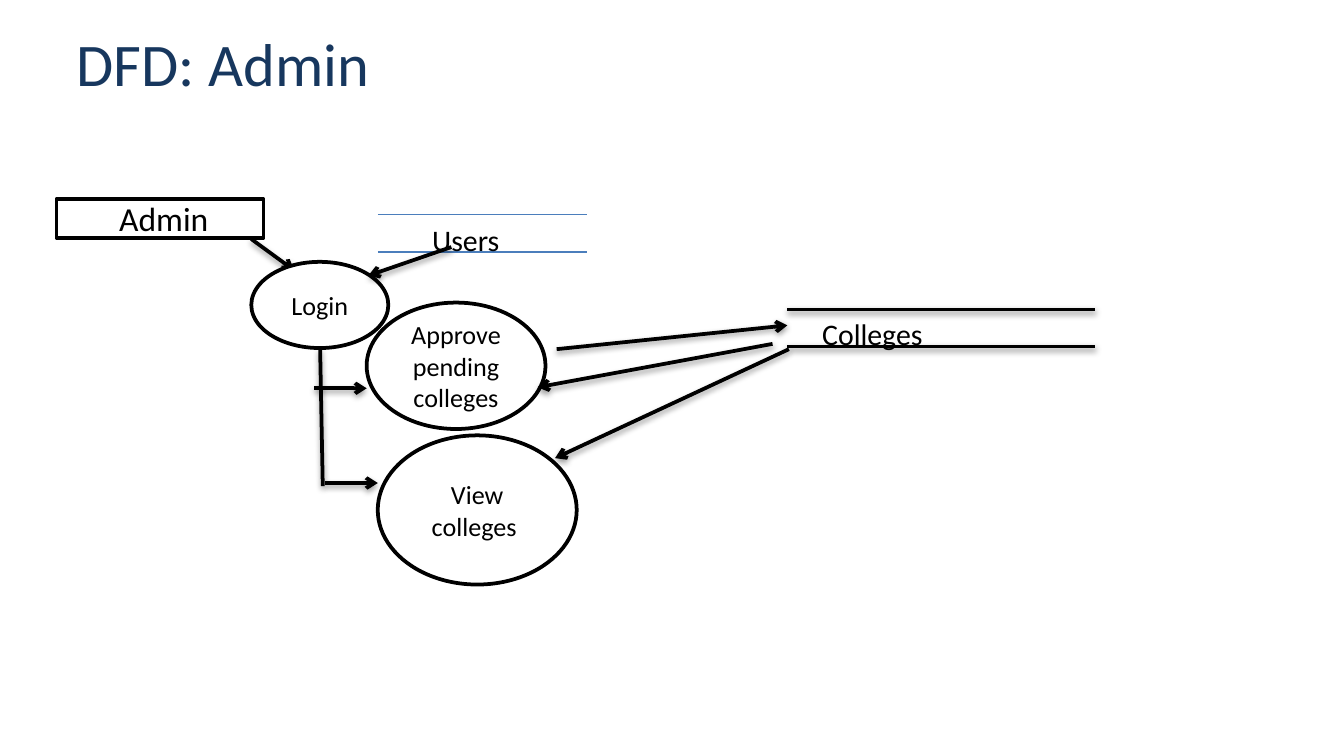
"""Build the admin data-flow diagram slide."""
from dataclasses import dataclass

from lxml.etree import SubElement
from pptx import Presentation
from pptx.dml.color import RGBColor as RGB
from pptx.enum.shapes import MSO_CONNECTOR as CONN, MSO_SHAPE as SHAPE
from pptx.enum.text import MSO_ANCHOR as ANCHOR, MSO_AUTO_SIZE as FIT, PP_ALIGN as ALIGN
from pptx.oxml.ns import qn
from pptx.util import Cm, Pt


@dataclass(frozen=True)
class Theme:
    font: str = "Calibri"
    ink: str = "000000"
    paper: str = "FFFFFF"
    title: str = "17375E"
    thin_line: str = "4B7EBC"
    title_size: float = 32.4
    entity_size: float = 18
    store_size: float = 16
    process_size: float = 14
    thick: float = 2
    thin: float = 0.75


T = Theme()

TITLE = ("DFD: Admin", (1.19, 0.74, 22.86, 0.89))
NODES = [
    (" Admin", SHAPE.RECTANGLE, T.entity_size, (1.07, 3.76, 3.91, 0.74)),
    ("Login", SHAPE.OVAL, T.process_size, (4.75, 4.95, 2.59, 1.63)),
    ("Approve pending colleges", SHAPE.OVAL, T.process_size, (6.93, 5.72, 3.38, 2.39)),
    ("View colleges ", SHAPE.OVAL, T.process_size, (7.14, 8.23, 3.76, 2.82)),
]
STORES = [
    ("Users", (7.92, 4.06, 2.39, 0.94), (7.14, 11.1),
     dict(color=T.thin_line, width=T.thin, shadow=False)),
    ("Colleges", (15.29, 5.85, 8.15, 0.94), (14.88, 20.7), {}),
]
STORE_GAP = 0.7
TRUNK = (6.05, 6.6, 6.1, 9.19)
CONTROL_FLOWS = [
    (4.75, 4.52, 5.56, 5.11),
    (5.94, 7.34, 6.93, 7.34),
    (6.15, 9.13, 7.14, 9.13),
]
DATA_FLOWS = [
    (8.53, 4.67, 6.96, 5.21),
    (10.52, 6.6, 14.88, 6.15),
    (14.6, 6.5, 10.16, 7.32),
    (14.91, 6.6, 10.49, 8.66),
]


def cm(values):
    return [Cm(v) for v in values]


def write(sp, text, *, size, color=T.ink, align=ALIGN.LEFT, anchor=ANCHOR.MIDDLE, fit=FIT.NONE):
    tf = sp.text_frame
    tf.word_wrap = True
    tf.auto_size = fit
    tf.vertical_anchor = anchor
    p = tf.paragraphs[0]
    p.alignment = align
    r = p.add_run()
    r.text = text
    r.font.name, r.font.size = T.font, Pt(size)
    r.font.color.rgb = RGB.from_string(color)


def add_line(slide, ends, *, color=T.ink, width=T.thick, arrow=False, shadow=True):
    line = slide.shapes.add_connector(CONN.STRAIGHT, *cm(ends))
    line.line.color.rgb = RGB.from_string(color)
    line.line.width = Pt(width)
    sp_pr = line._element.spPr
    if arrow:
        SubElement(sp_pr.find(qn("a:ln")), qn("a:tailEnd"), type="arrow")
    effects = SubElement(sp_pr, qn("a:effectLst"))
    if shadow:
        outer = SubElement(effects, qn("a:outerShdw"), blurRad="40000", dist="20000",
                           dir="5400000", rotWithShape="0")
        tint = SubElement(outer, qn("a:srgbClr"), val=T.ink)
        SubElement(tint, qn("a:alpha"), val="38000")


def add_node(slide, text, kind, size, box):
    sp = slide.shapes.add_shape(kind, *cm(box))
    sp.shadow.inherit = False
    sp.fill.solid()
    sp.fill.fore_color.rgb = RGB.from_string(T.paper)
    sp.line.color.rgb = RGB.from_string(T.ink)
    sp.line.width = Pt(T.thick)
    write(sp, text, size=size, align=ALIGN.CENTER)


def add_store(slide, text, box, span, style):
    left, right = span
    for y in (box[1], box[1] + STORE_GAP):
        add_line(slide, (left, y, right, y), **style)
    sp = slide.shapes.add_textbox(*cm(box))
    write(sp, text, size=T.store_size, anchor=ANCHOR.TOP, fit=FIT.SHAPE_TO_FIT_TEXT)


def main():
    prs = Presentation()
    prs.slide_width, prs.slide_height = Cm(25.4), Cm(14.29)
    slide = prs.slides.add_slide(prs.slide_layouts.get_by_name("Title Only"))
    text, box = TITLE
    title = slide.shapes.title
    title.left, title.top, title.width, title.height = cm(box)
    write(title, text, size=T.title_size, color=T.title)

    add_line(slide, TRUNK)
    for ends in CONTROL_FLOWS:
        add_line(slide, ends, arrow=True)
    for node in NODES:
        add_node(slide, *node)
    for store in STORES:
        add_store(slide, *store)
    for ends in DATA_FLOWS:
        add_line(slide, ends, arrow=True)
    prs.save("out.pptx")


if __name__ == "__main__":
    main()
